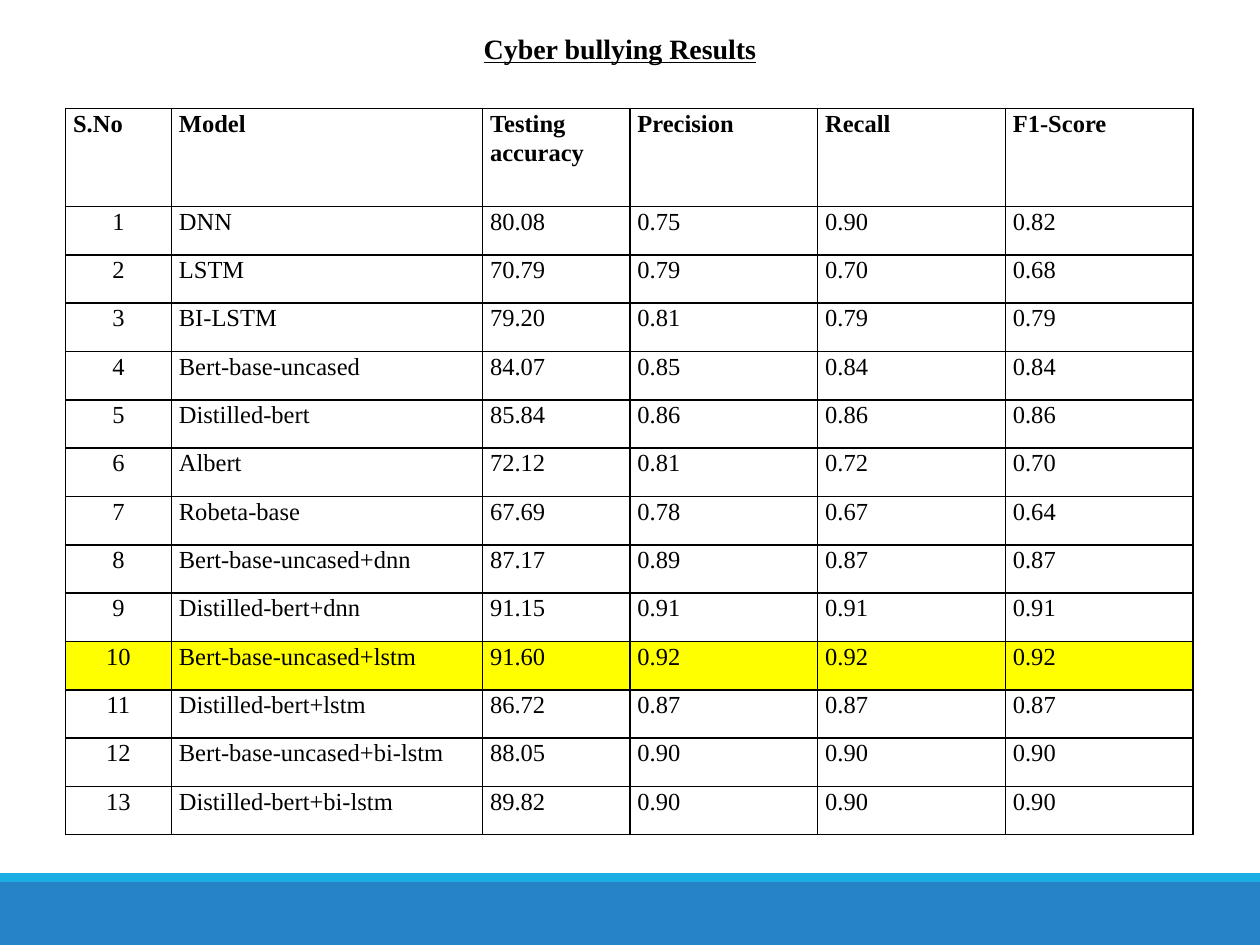
"""Build the slide of cyber bullying model results."""
from dataclasses import dataclass
from lxml.etree import SubElement
from pptx import Presentation
from pptx.dml.color import RGBColor
from pptx.enum.shapes import MSO_SHAPE
from pptx.enum.text import MSO_AUTO_SIZE, PP_ALIGN
from pptx.oxml.ns import qn
from pptx.util import Inches, Pt


@dataclass(frozen=True)
class Theme:
    face: str = "Times New Roman"
    ink: str = "000000"
    mark: str = "FFFF00"
    band: str = "2683C6"
    strip: str = "1CADE4"
    title: int = 16
    body: int = 14


theme = Theme()


def style(para, size, form):
    form = {"name": theme.face, "size": Pt(size), **form}
    font = para.runs[0].font
    for key, val in form.items():
        setattr(font, key, val)
    font.color.rgb = RGBColor.from_string(theme.ink)


def border(cell):
    props = cell._tc.get_or_add_tcPr()
    for side in ("lnL", "lnR", "lnT", "lnB"):
        line = SubElement(props, qn(f"a:{side}"), w=str(Pt(1)))
        fill = SubElement(line, qn("a:solidFill"))
        SubElement(fill, qn("a:srgbClr"), val=theme.ink)


heads = ["S.No", "Model", "Testing accuracy", "Precision", "Recall", "F1-Score"]
scores = [
    ("DNN", "80.08", "0.75", "0.90", "0.82"),
    ("LSTM", "70.79", "0.79", "0.70", "0.68"),
    ("BI-LSTM", "79.20", "0.81", "0.79", "0.79"),
    ("Bert-base-uncased", "84.07", "0.85", "0.84", "0.84"),
    ("Distilled-bert", "85.84", "0.86", "0.86", "0.86"),
    ("Albert", "72.12", "0.81", "0.72", "0.70"),
    ("Robeta-base", "67.69", "0.78", "0.67", "0.64"),
    ("Bert-base-uncased+dnn", "87.17", "0.89", "0.87", "0.87"),
    ("Distilled-bert+dnn", "91.15", "0.91", "0.91", "0.91"),
    ("Bert-base-uncased+lstm", "91.60", "0.92", "0.92", "0.92"),
    ("Distilled-bert+lstm", "86.72", "0.87", "0.87", "0.87"),
    ("Bert-base-uncased+bi-lstm", "88.05", "0.90", "0.90", "0.90"),
    ("Distilled-bert+bi-lstm", "89.82", "0.90", "0.90", "0.90"),
]
rows = [heads] + [(str(num), *score) for num, score in enumerate(scores, 1)]
best = max(range(1, len(rows)), key=lambda num: float(rows[num][2]))

deck = Presentation()
deck.slide_width, deck.slide_height = Inches(10), Inches(7.5)
slide = deck.slides.add_slide(deck.slide_layouts[6])

for top, high, color in ((7, 0.5, theme.band), (6.93, 0.07, theme.strip)):
    bar = slide.shapes.add_shape(
        MSO_SHAPE.RECTANGLE, 0, Inches(top), deck.slide_width, Inches(high))
    bar.shadow.inherit = False
    bar.fill.solid()
    bar.fill.fore_color.rgb = RGBColor.from_string(color)
    bar.line.fill.background()

box = slide.shapes.add_textbox(
    Inches(3.74), Inches(0.2), Inches(2.52), Inches(0.37))
frame = box.text_frame
frame.word_wrap = True
frame.auto_size = MSO_AUTO_SIZE.SHAPE_TO_FIT_TEXT
frame.text = "Cyber bullying Results"
style(frame.paragraphs[0], theme.title, {"bold": True, "underline": True})

wide = [0.84, 2.47, 1.17] + [1.49] * 3
tall, first = Inches(5.77), Inches(0.78)
grid = slide.shapes.add_table(
    len(rows), len(heads), Inches(0.52), Inches(0.86),
    Inches(sum(wide)), tall).table
for key, val in {"first_row": False, "horz_banding": False}.items():
    setattr(grid, key, val)
for col, width in zip(grid.columns, wide):
    col.width = Inches(width)
for num, row in enumerate(grid.rows):
    row.height = (tall - first) // len(scores) if num else first

pads = {"margin_left": Inches(0.06), "margin_right": Inches(0.06),
        "margin_top": 0, "margin_bottom": 0}
for num, row in enumerate(rows):
    for col, text in enumerate(row):
        cell = grid.cell(num, col)
        for key, val in pads.items():
            setattr(cell, key, val)
        cell.text = text
        para = cell.text_frame.paragraphs[0]
        form = {"line_spacing": 1.07, "space_after": Pt(6 if num else 8),
                "alignment": PP_ALIGN.CENTER if num and not col else PP_ALIGN.LEFT}
        for key, val in form.items():
            setattr(para, key, val)
        style(para, theme.body, {"bold": num == 0})
        border(cell)
        if num == best:
            cell.fill.solid()
            cell.fill.fore_color.rgb = RGBColor.from_string(theme.mark)
        else:
            cell.fill.background()

deck.save("out.pptx")
